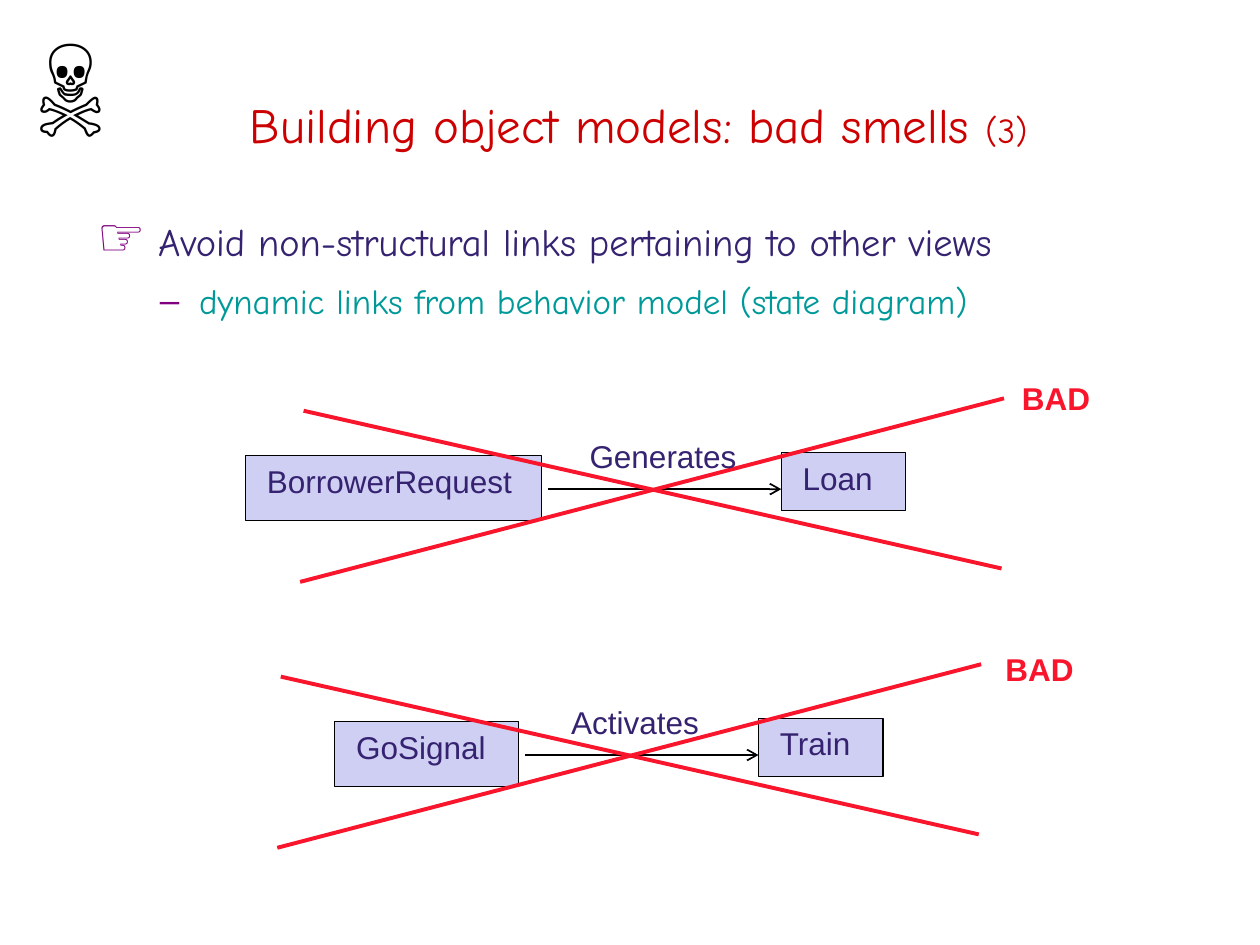
from dataclasses import dataclass

from lxml.etree import SubElement
from pptx import Presentation
from pptx.dml.color import RGBColor
from pptx.enum.shapes import MSO_CONNECTOR, MSO_SHAPE
from pptx.enum.text import MSO_ANCHOR, MSO_AUTO_SIZE, PP_ALIGN
from pptx.oxml.ns import qn
from pptx.util import Cm, Pt

INK, RED, TEAL, PLUM = "352270", "F9152B", "009999", "800080"
BLACK, LILAC, TITLE = "000000", "CECFF2", "CC0000"
HAND, SANS = "Comic Neue", "Arial"


@dataclass
class Case:
    """A bad link between two classes; dx and dy shift the whole drawing."""
    source: str
    verb: str
    target: str
    dx: float
    dy: float
    width: float
    span: float
    bad: tuple[float, float]


CASES = [
    Case("BorrowerRequest", "Generates", "Loan", 0, 0, 5.97, 3.63, (20.17, 7.52)),
    Case("GoSignal", "Activates", "Train", -0.46, 5.36, 3.71, 3.45, (19.84, 12.98)),
]


def tint(code: str) -> RGBColor:
    return RGBColor.from_string(code)


def style(font, size: float, color: str, face: str = SANS, bold: bool = False) -> None:
    font.size, font.name, font.bold = Pt(size), face, bold
    font.color.rgb = tint(color)


def place(shape, x: float, y: float, w: float, h: float) -> None:
    shape.left, shape.top, shape.width, shape.height = Cm(x), Cm(y), Cm(w), Cm(h)


def indent(para, left: float, hang: float, mark: str = "", color: str = BLACK) -> None:
    """Set a hanging indent, with a bullet if mark is given."""
    props = para._p.get_or_add_pPr()
    props.set("marL", str(Cm(left)))
    props.set("indent", str(-Cm(hang)))
    if mark:
        SubElement(SubElement(props, qn("a:buClr")), qn("a:srgbClr"), val=color)
        SubElement(props, qn("a:buChar"), char=mark)
    else:
        SubElement(props, qn("a:buNone"))


def add_text(slide, text: str, x: float, y: float, w: float, h: float,
             size: float = 18, color: str = INK, bold: bool = False, inset: float = 0.25):
    box = slide.shapes.add_textbox(Cm(x), Cm(y), Cm(w), Cm(h))
    frame = box.text_frame
    frame.word_wrap = True
    frame.margin_left = Cm(inset)
    frame.text = text
    style(frame.paragraphs[0].runs[0].font, size, color, bold=bold)
    return frame


def add_box(slide, text: str, x: float, y: float, w: float, h: float) -> None:
    box = slide.shapes.add_shape(MSO_SHAPE.RECTANGLE, Cm(x), Cm(y), Cm(w), Cm(h))
    box.shadow.inherit = False
    box.fill.solid()
    box.fill.fore_color.rgb = tint(LILAC)
    box.line.color.rgb = tint(BLACK)
    box.line.width = Pt(0.75)
    frame = box.text_frame
    frame.vertical_anchor = MSO_ANCHOR.TOP
    frame.margin_left = Cm(0.43)
    frame.text = text
    para = frame.paragraphs[0]
    para.alignment = PP_ALIGN.LEFT
    style(para.runs[0].font, 18, INK)


def add_line(slide, x: float, y: float, to_x: float, to_y: float,
             color: str, width: float, arrow: bool = False) -> None:
    line = slide.shapes.add_connector(
        MSO_CONNECTOR.STRAIGHT, Cm(x), Cm(y), Cm(to_x), Cm(to_y))
    line.line.color.rgb = tint(color)
    line.line.width = Pt(width)
    if arrow:
        SubElement(line.line._get_or_add_ln(), qn("a:tailEnd"), type="arrow")
    SubElement(line._element.spPr, qn("a:effectLst"))


def add_case(slide, case: Case) -> None:
    dx, dy = case.dx, case.dy
    add_box(slide, case.source, 10.92 + dx - case.width, 9.19 + dy, case.width, 1.3)
    add_line(slide, 11.05 + dx, 9.86 + dy, 15.75 + dx, 9.86 + dy, BLACK, 1, True)
    add_box(slide, case.target, 15.75 + dx, 9.12 + dy, 2.51, 1.17)
    add_line(slide, 6.05 + dx, 11.73 + dy, 20.24 + dx, 8.03 + dy, RED, 2.25)
    add_line(slide, 20.19 + dx, 11.46 + dy, 6.12 + dx, 8.28 + dy, RED, 2.25)
    add_text(slide, case.verb, 13.45 + dx - case.span / 2, 8.69 + dy, case.span, 1.3)
    add_text(slide, "BAD", *case.bad, 2.64, 1.12, color=RED, bold=True, inset=0.43)


def fill_title(title) -> None:
    place(title, 0.86, 1.32, 24.03, 2.11)
    frame = title.text_frame
    frame.auto_size = MSO_AUTO_SIZE.NONE
    frame.vertical_anchor = MSO_ANCHOR.MIDDLE
    para = frame.paragraphs[0]
    para.alignment = PP_ALIGN.CENTER
    para.line_spacing = 1.2
    for text, size in (("Building object models: bad smells ", 28), ("(3)", 20)):
        run = para.add_run()
        run.text = text
        style(run.font, size, TITLE, HAND)


def fill_body(body) -> None:
    place(body, 1.7, 4.22, 22.02, 3)
    frame = body.text_frame
    frame.auto_size = MSO_AUTO_SIZE.NONE
    frame.vertical_anchor = MSO_ANCHOR.MIDDLE
    frame.margin_bottom = Cm(1.14)
    point = frame.paragraphs[0]
    indent(point, 0.97, 0.97)
    point.space_before = Pt(0)
    hand, words = point.add_run(), point.add_run()
    hand.text = "☞"
    words.text = " Avoid non-structural links pertaining to other views"
    style(hand.font, 31, PLUM, bold=True)
    style(words.font, 22, INK, HAND)

    detail = frame.add_paragraph()
    detail.text = "dynamic links from behavior model (state diagram)"
    detail.level = 1
    indent(detail, 2.06, 0.79, "–", PLUM)
    detail.space_before = Pt(5)
    style(detail.runs[0].font, 20, TEAL, HAND)
    for para in (point, detail):
        para.alignment = PP_ALIGN.LEFT
        para.line_spacing = 1.1


def main() -> None:
    deck = Presentation()
    deck.slide_width, deck.slide_height = Cm(25.4), Cm(19.05)
    slide = deck.slides.add_slide(deck.slide_layouts[1])
    fill_title(slide.shapes.title)
    fill_body(slide.placeholders[1])
    for case in CASES:
        add_case(slide, case)
    skull = add_text(slide, "☠", 0.3, 0.1, 2.24, 2.77, size=54, color=BLACK)
    skull.vertical_anchor = MSO_ANCHOR.MIDDLE
    skull.paragraphs[0].alignment = PP_ALIGN.CENTER
    skull.paragraphs[0].line_spacing = 1.1
    deck.save("out.pptx")


if __name__ == "__main__":
    main()
